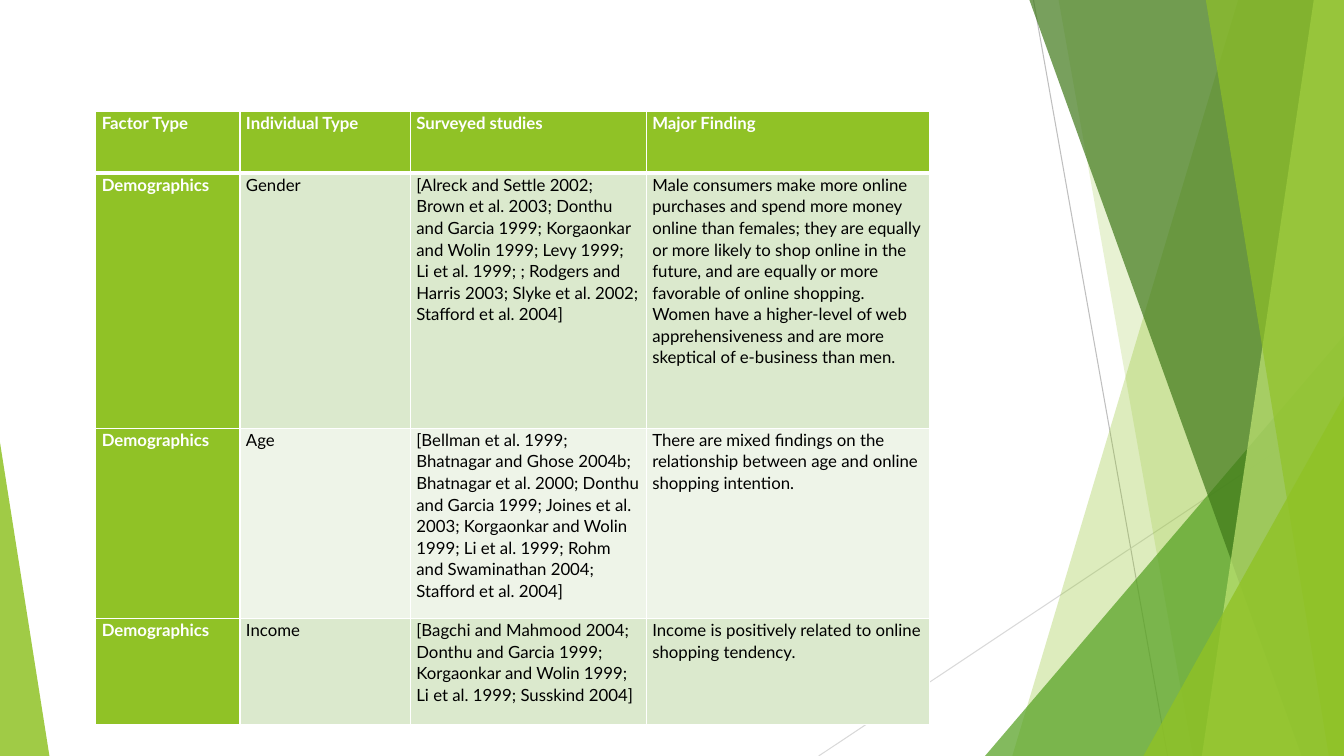
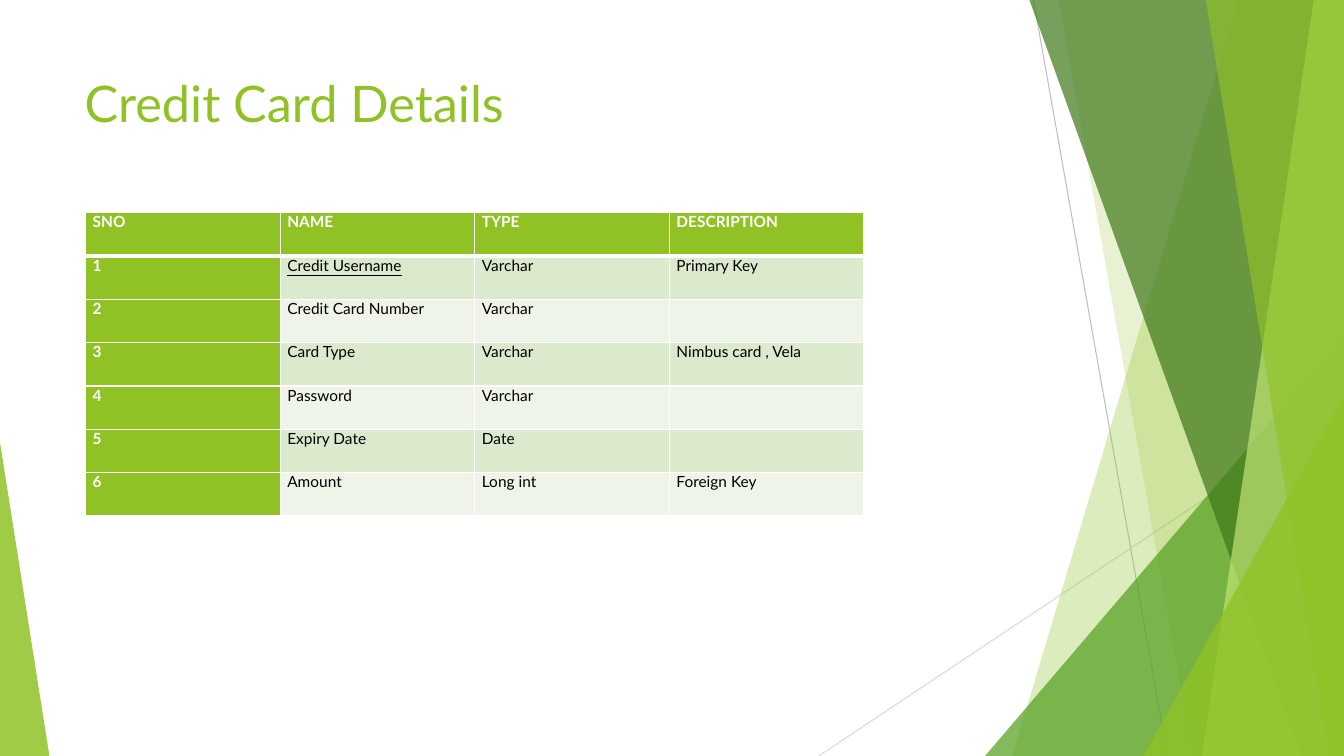
from dataclasses import dataclass
from typing import Optional, Sequence

from lxml.etree import SubElement
from pptx import Presentation
from pptx.dml.color import RGBColor
from pptx.enum.shapes import MSO_CONNECTOR as Connector, MSO_SHAPE as Preset
from pptx.oxml.ns import qn
from pptx.util import Inches, Pt


@dataclass(frozen=True)
class Theme:
    """Colours, font and type sizes shared by all slides."""

    font: str = "Lato"
    title_size: float = 36
    lime: str = "90C226"
    green: str = "54A021"
    forest: str = "3F7819"
    pale_lime: str = "C0E474"
    dark_line: str = "BFBFBF"
    light_line: str = "D9D9D9"
    band_odd: str = "DBE9CD"
    band_even: str = "EEF4E8"
    white: str = "FFFFFF"
    black: str = "000000"
    border: float = 1
    header_border: float = 3
    hairline: float = 0.75


THEME = Theme()
WIDTH, HEIGHT = 13.33, 7.5


@dataclass(frozen=True)
class Ray:
    """A thin line crossing the right side of the slide."""

    start: tuple[float, float]
    end: tuple[float, float]
    color: str


@dataclass(frozen=True)
class Band:
    """A band from a slanted left edge to the right side of the slide."""

    top_x: float
    bottom_x: float
    color: str
    opacity: int


@dataclass(frozen=True)
class Wedge:
    """A right-angled triangle on the bottom edge; apex 0 is left, 1 is right."""

    left: float
    top: float
    width: float
    apex: float
    color: str
    opacity: int


@dataclass(frozen=True)
class TableSpec:
    """Place, measures, type and wording of a table."""

    left: float
    top: float
    columns: Sequence[float]
    heights: Sequence[float]
    size: float
    margin: float
    rows: Sequence[Sequence[str]]
    line_spacing: Optional[float] = None
    underlined: frozenset[str] = frozenset()


RAYS = (
    Ray((10.25, 0), (11.58, HEIGHT), THEME.dark_line),
    Ray((WIDTH, 4.03), (8.12, HEIGHT), THEME.light_line),
)
FACETS = (
    Band(12.28, 10.04, THEME.lime, 30),
    Band(10.5, 11.83, THEME.lime, 20),
    Wedge(9.77, 3.33, 3.56, 1, THEME.green, 72),
    Band(10.21, 12.91, THEME.forest, 70),
    Band(13.03, 11.92, THEME.pale_lime, 70),
    Band(11.96, 13.18, THEME.lime, 65),
    Wedge(11.34, 3.93, 1.99, 1, THEME.lime, 80),
    Wedge(0, 4.39, 0.49, 0, THEME.lime, 85),
)

FACTORS = TableSpec(
    left=0.95, top=1.11,
    columns=(1.43, 1.69, 2.34, 2.81), heights=(0.61, 2.53, 1.89, 1.05),
    size=12, margin=0.06, line_spacing=1.07,
    rows=(
        ("Factor Type", "Individual Type", "Surveyed studies", "Major Finding"),
        ("Demographics", "Gender",
         "[Alreck and Settle 2002; Brown et al. 2003; Donthu and Garcia 1999; "
         "Korgaonkar and Wolin 1999; Levy 1999; Li et al. 1999; ; Rodgers and "
         "Harris 2003; Slyke et al. 2002; Stafford et al. 2004]",
         "Male consumers make more online purchases and spend more money online "
         "than females; they are equally or more likely to shop online in the "
         "future, and are equally or more favorable of online shopping. Women "
         "have a higher-level of web apprehensiveness and are more skeptical of "
         "e-business than men."),
        ("Demographics", "Age",
         "[Bellman et al. 1999; Bhatnagar and Ghose 2004b; Bhatnagar et al. 2000; "
         "Donthu and Garcia 1999; Joines et al. 2003; Korgaonkar and Wolin 1999; "
         "Li et al. 1999; Rohm and Swaminathan 2004; Stafford et al. 2004]",
         "There are mixed findings on the relationship between age and online "
         "shopping intention."),
        ("Demographics", "Income",
         "[Bagchi and Mahmood 2004; Donthu and Garcia 1999; Korgaonkar and Wolin "
         "1999; Li et al. 1999; Susskind 2004]",
         "Income is positively related to online shopping tendency."),
    ),
)
CARD_FIELDS = TableSpec(
    left=0.85, top=2.11, columns=(1.93,) * 4, heights=(0.43,) * 7,
    size=11, margin=0.07, underlined=frozenset({"Credit Username"}),
    rows=(
        ("SNO", "NAME", "TYPE", "DESCRIPTION"),
        ("1", "Credit Username", "Varchar", "Primary Key"),
        ("2", "Credit Card Number", "Varchar", ""),
        ("3", "Card Type", "Varchar", "Nimbus card , Vela"),
        ("4", "Password", "Varchar", ""),
        ("5", "Expiry Date", "Date", ""),
        ("6", "Amount", "Long int", "Foreign Key"),
    ),
)


def rgb(color: str) -> RGBColor:
    """Turn a hex string into a colour."""
    return RGBColor.from_string(color)


def style_font(paragraph, size: float, color: str, bold: bool = False) -> None:
    """Set the font of a whole paragraph."""
    font = paragraph.font
    font.name, font.size, font.bold = THEME.font, Pt(size), bold
    font.color.rgb = rgb(color)


def draw_ray(slide, ray: Ray) -> None:
    """Draw a thin line without a shadow."""
    points = [Inches(value) for value in (*ray.start, *ray.end)]
    connector = slide.shapes.add_connector(Connector.STRAIGHT, *points)
    connector.line.color.rgb = rgb(ray.color)
    connector.line.width = Pt(THEME.hairline)
    SubElement(connector._element.spPr, qn("a:effectLst"))


def paint(shape, color: str, opacity: int) -> None:
    """Give a shape a translucent fill, no line and no shadow."""
    shape.shadow.inherit = False
    shape.line.fill.background()
    shape.fill.solid()
    shape.fill.fore_color.rgb = rgb(color)
    color_element = shape._element.spPr.find(f"{qn('a:solidFill')}/{qn('a:srgbClr')}")
    SubElement(color_element, qn("a:alpha"), val=str(opacity * 1000))


def draw_band(slide, band: Band) -> None:
    """Draw a band as a freeform over the full height."""
    builder = slide.shapes.build_freeform(Inches(band.top_x), 0)
    corners = ((WIDTH, 0), (WIDTH, HEIGHT), (band.bottom_x, HEIGHT))
    builder.add_line_segments([(Inches(x), Inches(y)) for x, y in corners])
    paint(builder.convert_to_shape(), band.color, band.opacity)


def draw_wedge(slide, wedge: Wedge) -> None:
    """Draw a triangle standing on the bottom edge."""
    shape = slide.shapes.add_shape(
        Preset.ISOSCELES_TRIANGLE, Inches(wedge.left), Inches(wedge.top),
        Inches(wedge.width), Inches(HEIGHT - wedge.top))
    shape.adjustments[0] = wedge.apex
    paint(shape, wedge.color, wedge.opacity)


def add_decorated_slide(presentation):
    """Add a blank slide with the shared green facets."""
    slide = presentation.slides.add_slide(presentation.slide_layouts[6])
    for ray in RAYS:
        draw_ray(slide, ray)
    for facet in FACETS:
        draw = draw_band if isinstance(facet, Band) else draw_wedge
        draw(slide, facet)
    return slide


def add_title(slide, text: str) -> None:
    """Add the slide title."""
    box = slide.shapes.add_textbox(Inches(0.74), Inches(0.67), Inches(9.4), Inches(1.44))
    box.text_frame.word_wrap = True
    paragraph = box.text_frame.paragraphs[0]
    paragraph.text = text
    style_font(paragraph, THEME.title_size, THEME.lime)


def set_borders(cell, row: int) -> None:
    """Draw white borders, thicker between the header and the body."""
    properties = cell._tc.get_or_add_tcPr()
    top = THEME.header_border if row == 1 else THEME.border
    bottom = THEME.header_border if row == 0 else THEME.border
    widths = {"a:lnL": THEME.border, "a:lnR": THEME.border, "a:lnT": top, "a:lnB": bottom}
    for tag, width in widths.items():
        line = SubElement(properties, qn(tag), w=str(Pt(width)))
        SubElement(SubElement(line, qn("a:solidFill")), qn("a:srgbClr"), val=THEME.white)


def fill_cell(cell, spec: TableSpec, row: int, column: int) -> None:
    """Write and style one cell; the first row and column are headings."""
    text = spec.rows[row][column]
    heading = row == 0 or column == 0
    band = THEME.band_odd if row % 2 else THEME.band_even
    set_borders(cell, row)
    cell.fill.solid()
    cell.fill.fore_color.rgb = rgb(THEME.lime if heading else band)
    cell.margin_left = cell.margin_right = Inches(spec.margin)
    cell.margin_top = cell.margin_bottom = 0
    paragraph = cell.text_frame.paragraphs[0]
    paragraph.text = text
    paragraph.line_spacing = spec.line_spacing
    style_font(paragraph, spec.size, THEME.white if heading else THEME.black, heading)
    if text in spec.underlined:
        paragraph.font.underline = True


def add_data_table(slide, spec: TableSpec) -> None:
    """Add a table as its spec describes."""
    table = slide.shapes.add_table(
        len(spec.rows), len(spec.columns), Inches(spec.left), Inches(spec.top),
        Inches(sum(spec.columns)), Inches(sum(spec.heights))).table
    table.first_col, table.horz_banding = True, False
    for column, width in zip(table.columns, spec.columns):
        column.width = Inches(width)
    for row, height in zip(table.rows, spec.heights):
        row.height = Inches(height)
    for row in range(len(spec.rows)):
        for column in range(len(spec.columns)):
            fill_cell(table.cell(row, column), spec, row, column)


def main() -> None:
    """Build and save the presentation."""
    presentation = Presentation()
    presentation.slide_width, presentation.slide_height = Inches(WIDTH), Inches(HEIGHT)

    factors_slide = add_decorated_slide(presentation)
    add_data_table(factors_slide, FACTORS)

    card_slide = add_decorated_slide(presentation)
    add_title(card_slide, "Credit Card Details")
    add_data_table(card_slide, CARD_FIELDS)

    presentation.save("out.pptx")


main()
